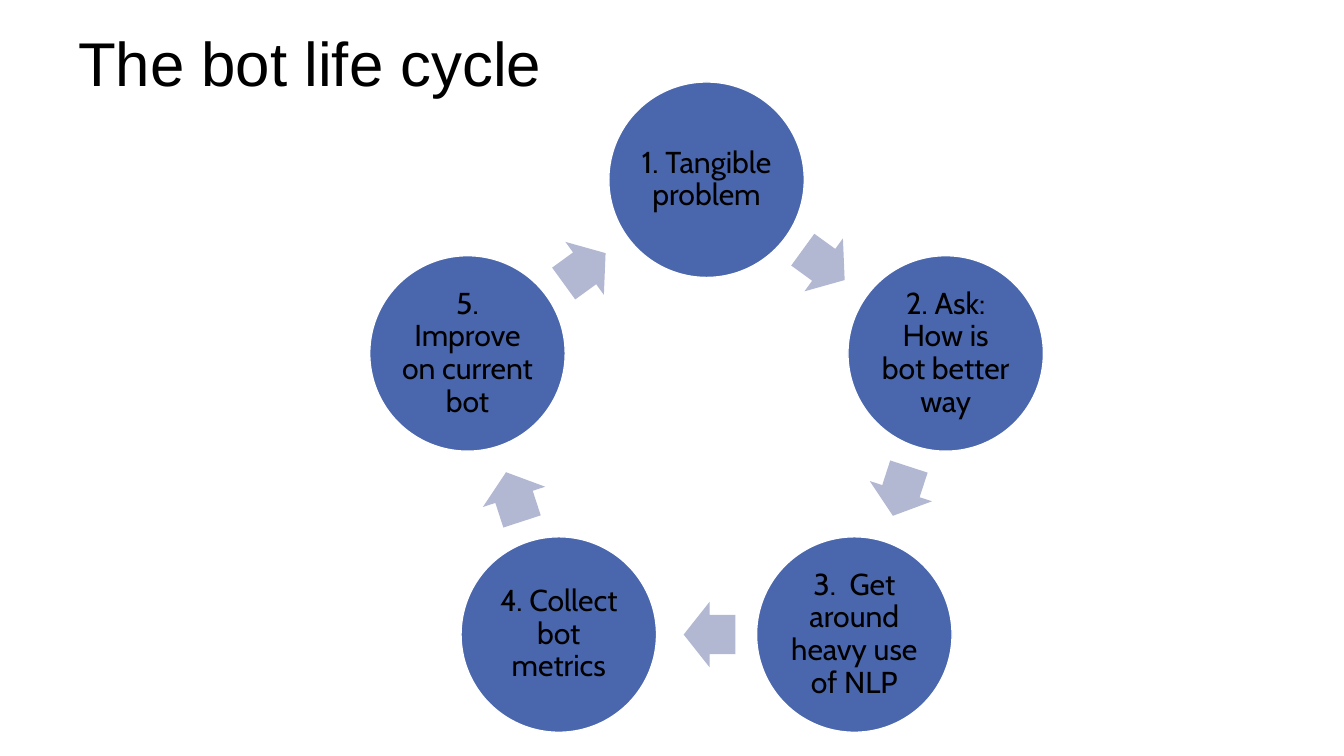
import math
from dataclasses import dataclass

import pptx
import pptx.util
import pptx.dml.color
import pptx.enum.shapes
import pptx.enum.text

Inch = pptx.util.Inches
Kind = pptx.enum.shapes.MSO_SHAPE
Align = pptx.enum.text.PP_ALIGN
Anchor = pptx.enum.text.MSO_ANCHOR


@dataclass(frozen=True)
class Theme:
    """Colours, fonts and type sizes of the slide."""
    disc: str = "4A66AC"
    arrow: str = "B2B8D2"
    edge: str = "FFFFFF"
    ink: str = "000000"
    head: str = "Arial"
    body: str = "Cabin"
    big: int = 45
    small: int = 22
    lead: float = 0.9


THEME = Theme()
WIDE, HIGH = 13.6, 7.65
STEPS = [
    "1. Tangible problem",
    "2. Ask: How is bot better way",
    "3.  Get around heavy use of NLP",
    "4. Collect bot metrics",
    "5. Improve on current bot",
]


def tint(name):
    """Return the colour for a hex name."""
    return pptx.dml.color.RGBColor.from_string(name)


def write(frame, text, face, size, align):
    """Put one run of text in a frame."""
    frame.word_wrap = True
    para = frame.paragraphs[0]
    para.alignment = align
    para.line_spacing = THEME.lead
    run = para.add_run()
    run.text = text
    run.font.name = face
    run.font.size = pptx.util.Pt(size)
    run.font.color.rgb = tint(THEME.ink)


def form(slide, kind, mid, size, fill):
    """Add a filled shape centred on a point."""
    (x, y), (w, h) = mid, size
    shape = slide.shapes.add_shape(
        kind, Inch(x - w / 2), Inch(y - h / 2), Inch(w), Inch(h))
    shape.shadow.inherit = False
    shape.fill.solid()
    shape.fill.fore_color.rgb = tint(fill)
    shape.line.fill.background()
    return shape


def title(slide, box, text):
    """Place the title in its box."""
    shape = slide.shapes.title
    shape.left, shape.top, shape.width, shape.height = map(Inch, box)
    frame = shape.text_frame
    frame.auto_size = pptx.enum.text.MSO_AUTO_SIZE.NONE
    frame.vertical_anchor = Anchor.TOP
    frame.margin_top = Inch(0.08)
    write(frame, text, THEME.head, THEME.big, Align.LEFT)


def disc(slide, mid, size, text):
    """Add one step of the cycle."""
    shape = form(slide, Kind.OVAL, mid, (size, size), THEME.disc)
    shape.line.color.rgb = tint(THEME.edge)
    shape.line.width = pptx.util.Pt(1)
    frame = shape.text_frame
    frame.vertical_anchor = Anchor.MIDDLE
    frame.margin_left = frame.margin_right = Inch(0.03)
    frame.margin_top = frame.margin_bottom = Inch(0.03)
    write(frame, text, THEME.body, THEME.small, Align.CENTER)


def arrow(slide, start, end, size):
    """Add a block arrow between two steps."""
    mid = [a + (b - a) * 0.49 for a, b in zip(start, end)]
    shape = form(slide, Kind.RIGHT_ARROW, mid, size, THEME.arrow)
    shape.adjustments[0] = 0.6
    shape.adjustments[1] = 0.5
    turn = math.atan2(end[1] - start[1], end[0] - start[0])
    shape.rotation = math.degrees(turn) % 360


def cycle(slide, box, steps):
    """Spread the steps clockwise around a ring that fills the box."""
    left, top, wide, high = box
    size = wide * 0.29
    count = len(steps)
    turn = 2 * math.pi / count
    reach = (high - size) / (1 + math.cos(turn / 2))
    x, y = left + wide / 2, top + size / 2 + reach
    spots = [(x + reach * math.sin(i * turn), y - reach * math.cos(i * turn))
             for i in range(count)]
    for i, text in enumerate(steps):
        disc(slide, spots[i], size, text)
        arrow(slide, spots[i], spots[(i + 1) % count],
              (size * 0.265, size * 0.335))


def main():
    """Build and save the slide."""
    deck = pptx.Presentation()
    deck.slide_width, deck.slide_height = Inch(WIDE), Inch(HIGH)
    slide = deck.slides.add_slide(deck.slide_layouts[5])
    title(slide, (0.69, 0.26, 12.12, 1.48), "The bot life cycle")
    cycle(slide, (3.74, 0.83, 6.82, 6.58), STEPS)
    deck.save("out.pptx")


if __name__ == "__main__":
    main()
